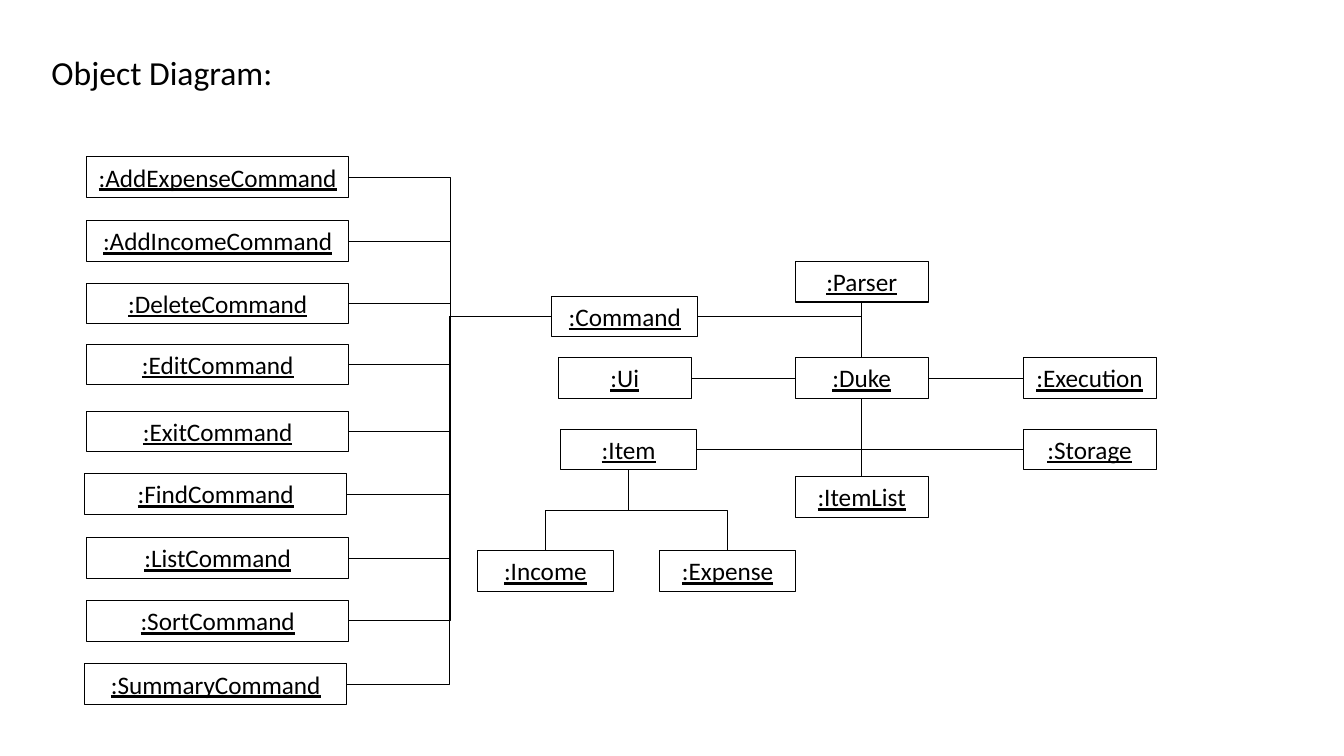
from pptx import Presentation
from pptx.util import Pt
from pptx.dml.color import RGBColor
from pptx.enum.shapes import MSO_SHAPE, MSO_CONNECTOR as CONN
from pptx.enum.text import PP_ALIGN, MSO_ANCHOR, MSO_AUTO_SIZE as AUTO
from pptx.oxml.ns import qn
from lxml import etree

BLACK = RGBColor(0, 0, 0)
FONT = "Calibri"
BOX_H = 29.08
TOP, LEFT, BOTTOM, RIGHT = range(4)

prs = Presentation()
prs.slide_width, prs.slide_height = Pt(960), Pt(540)
s = prs.slides.add_slide(prs.slide_layouts[6])


def add_box(name, x, y, w):
    sp = s.shapes.add_shape(MSO_SHAPE.RECTANGLE, Pt(x), Pt(y), Pt(w), Pt(BOX_H))
    sp.shadow.inherit = False
    sp.fill.background()
    sp.line.color.rgb = BLACK
    sp.line.width = Pt(0.75)
    tf = sp.text_frame
    tf.word_wrap = True
    tf.auto_size = AUTO.SHAPE_TO_FIT_TEXT
    tf.vertical_anchor = MSO_ANCHOR.TOP
    p = tf.paragraphs[0]
    p.text = ":" + name
    p.alignment = PP_ALIGN.CENTER
    p.font.name, p.font.size = FONT, Pt(18)
    p.font.underline = True
    p.font.color.rgb = BLACK
    return sp


def link(start, start_side, end, end_side, kind=CONN.ELBOW):
    c = s.shapes.add_connector(kind, 0, 0, 0, 0)
    c.begin_connect(start, start_side)
    c.end_connect(end, end_side)
    c.line.color.rgb = BLACK
    c.line.width = Pt(0.5)
    etree.SubElement(c._element.spPr, qn("a:effectLst"))
    return c


tb = s.shapes.add_textbox(Pt(29.7), Pt(33.4), Pt(199.4), Pt(36.35))
tf = tb.text_frame
tf.word_wrap = True
tf.auto_size = AUTO.SHAPE_TO_FIT_TEXT
p = tf.paragraphs[0]
p.text = "Object Diagram:"
p.font.name, p.font.size = FONT, Pt(24)
p.font.color.rgb = BLACK

boxes = {}
for name, x, y, w in [
    ("Duke", 568, 255.6, 95),
    ("Ui", 398.8, 255.6, 95),
    ("Parser", 568, 186.7, 95),
    ("Execution", 730.8, 255.6, 95),
    ("ItemList", 568, 340.4, 95),
    ("Storage", 730.8, 306.5, 95),
    ("Command", 394.2, 211.6, 104.2),
    ("Item", 400.4, 306.5, 97.4),
    ("Income", 340.9, 393.2, 97.4),
    ("Expense", 471, 393.2, 97.4),
]:
    boxes[name] = add_box(name, x, y, w)

duke, command, item = boxes["Duke"], boxes["Command"], boxes["Item"]

for name, x, y in [
    ("AddExpense", 61.8, 112.1),
    ("AddIncome", 61.8, 157.7),
    ("Delete", 61.8, 202.2),
    ("Edit", 61.8, 245.8),
    ("Exit", 61.8, 293.6),
    ("Find", 60.4, 338.4),
    ("List", 61.8, 384),
    ("Sort", 61.8, 428.9),
    ("Summary", 60.4, 474.2),
]:
    link(command, LEFT, add_box(name + "Command", x, y, 187.4), RIGHT)

for name, side, duke_side in [
    ("Parser", BOTTOM, TOP),
    ("ItemList", TOP, BOTTOM),
    ("Ui", RIGHT, LEFT),
    ("Execution", LEFT, RIGHT),
]:
    link(boxes[name], side, duke, duke_side, CONN.STRAIGHT)

for name, side, duke_side in [
    ("Command", RIGHT, TOP),
    ("Storage", LEFT, BOTTOM),
    ("Item", RIGHT, BOTTOM),
]:
    c = link(boxes[name], side, duke, duke_side)
    c._element.spPr.find(qn("a:prstGeom")).set("prst", "bentConnector2")

for name in ("Income", "Expense"):
    c = link(item, BOTTOM, boxes[name], TOP)
    mid_x, mid_y = (c.begin_x + c.end_x) // 2, (c.begin_y + c.end_y) // 2
    half_w, half_h = (c.end_x - c.begin_x) // 2, (c.end_y - c.begin_y) // 2
    c.begin_x, c.begin_y = mid_x - half_h, mid_y + half_w
    c.end_x, c.end_y = mid_x + half_h, mid_y - half_w
    c._element.spPr.find(qn("a:xfrm")).set("rot", "5400000")

prs.save("out.pptx")
